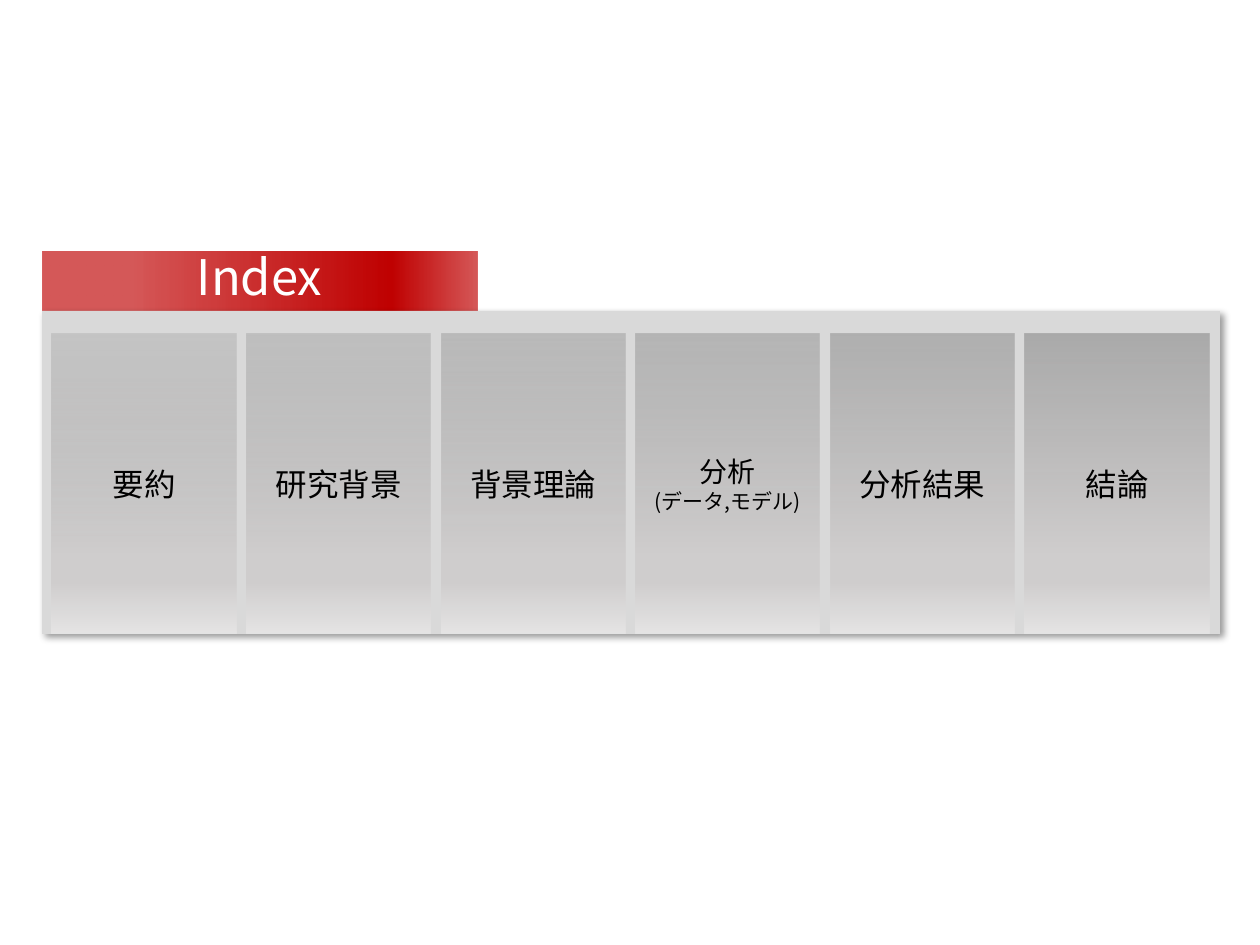
from lxml.etree import SubElement
from pptx import Presentation
from pptx.dml.color import RGBColor
from pptx.enum.shapes import MSO_SHAPE
from pptx.enum.text import MSO_ANCHOR, MSO_AUTO_SIZE, PP_ALIGN
from pptx.oxml.ns import qn
from pptx.util import Emu, Pt

# Content: each card is a list of (text, size name) lines
TITLE = "Index"
CARDS = [
    [("要約", "card")],
    [("研究背景", "card")],
    [("背景理論", "card")],
    [("分析", "split"), ("(データ,モデル)", "detail")],
    [("分析結果", "card")],
    [("結論", "card")],
]

THEME = {
    "font": "Noto Sans CJK KR",
    "title_text": "FFFFFF", "card_text": "000000",
    "tab": "C00000", "panel": "D9D9D9", "shadow": "000000",
    "card_top": "A6A6A6", "card_middle": "D0CECE", "card_bottom": "E7E6E6",
    "sizes": {"title": 28, "card": 18, "split": 16, "detail": 12},
}

# Layout in px: left, top, width, height
PAGE_SIZE = (1260, 945)
TAB = (42, 252, 435, 118)
PANEL = (42, 311, 1178, 323)
CARD_AREA = (52, 334, 1157, 300)
CARD_WIDTH = 184
TITLE_LIFT = 70  # bottom inset that centres the title above the panel


def px(value):
    return Emu(round(value * 914400 / 126))


def add_color(parent, color, opacity):
    node = SubElement(parent, qn("a:srgbClr"), val=color)
    if opacity < 100:
        SubElement(node, qn("a:alpha"), val=str(opacity * 1000))


def set_gradient(shape, stops, angle):
    """Fill with (position, color, opacity) stops, all in percent."""
    shape.fill.background()
    properties = shape._element.spPr
    gradient = SubElement(properties, qn("a:gradFill"), rotWithShape="1")
    properties.replace(properties.find(qn("a:noFill")), gradient)
    stop_list = SubElement(gradient, qn("a:gsLst"))
    for position, color, opacity in stops:
        stop = SubElement(stop_list, qn("a:gs"), pos=str(position * 1000))
        add_color(stop, color, opacity)
    SubElement(gradient, qn("a:lin"), ang=str(angle * 60000), scaled="0")


def set_text(shape, lines, color):
    frame = shape.text_frame
    frame.text = "\n".join(text for text, _ in lines)
    frame.word_wrap = True
    frame.auto_size = MSO_AUTO_SIZE.NONE
    frame.vertical_anchor = MSO_ANCHOR.MIDDLE
    for para, (_, size) in zip(frame.paragraphs, lines):
        para.alignment = PP_ALIGN.CENTER
        for span in para.runs:
            span.font.size = Pt(THEME["sizes"][size])
            span.font.color.rgb = RGBColor.from_string(color)
            span.font.name = THEME["font"]
            SubElement(span.font._element, qn("a:ea"), typeface=THEME["font"])


def add_box(page, area):
    box = page.shapes.add_shape(MSO_SHAPE.RECTANGLE, *map(px, area))
    box.line.fill.background()
    box.shadow.inherit = False
    return box


def add_tab(page):
    tab = page.shapes.title
    tab.left, tab.top, tab.width, tab.height = map(px, TAB)
    geometry = SubElement(tab._element.spPr, qn("a:prstGeom"), prst="roundRect")
    SubElement(geometry, qn("a:avLst"))
    set_gradient(tab, [(20, THEME["tab"], 65), (80, THEME["tab"], 100),
                       (100, THEME["tab"], 65)], 0)
    set_text(tab, [(TITLE, "title")], THEME["title_text"])
    tab.text_frame.margin_top = 0
    tab.text_frame.margin_bottom = px(TITLE_LIFT)


def add_panel(page):
    panel = add_box(page, PANEL)
    panel.fill.solid()
    panel.fill.fore_color.rgb = RGBColor.from_string(THEME["panel"])
    effects = panel._element.spPr.find(qn("a:effectLst"))
    shadow = SubElement(effects, qn("a:outerShdw"), blurRad=str(Pt(4)),
                        dist=str(Pt(3)), dir=str(45 * 60000),
                        algn="tl", rotWithShape="0")
    add_color(shadow, THEME["shadow"], 40)


def add_cards(page):
    left, top, width, height = CARD_AREA
    pitch = (width - CARD_WIDTH) / (len(CARDS) - 1)
    for index, lines in enumerate(CARDS):
        card = add_box(page, (left + index * pitch, top, CARD_WIDTH, height))
        # Each card's top is a step more opaque than the last
        set_gradient(card, [(0, THEME["card_top"], 40 + 10 * index),
                            (74, THEME["card_middle"], 100),
                            (83, THEME["card_middle"], 100),
                            (100, THEME["card_bottom"], 100)], 90)
        set_text(card, lines, THEME["card_text"])


def main():
    deck = Presentation()
    deck.slide_width, deck.slide_height = map(px, PAGE_SIZE)
    page = deck.slides.add_slide(deck.slide_layouts[5])
    add_tab(page)
    add_panel(page)
    add_cards(page)
    deck.save("out.pptx")


if __name__ == "__main__":
    main()
